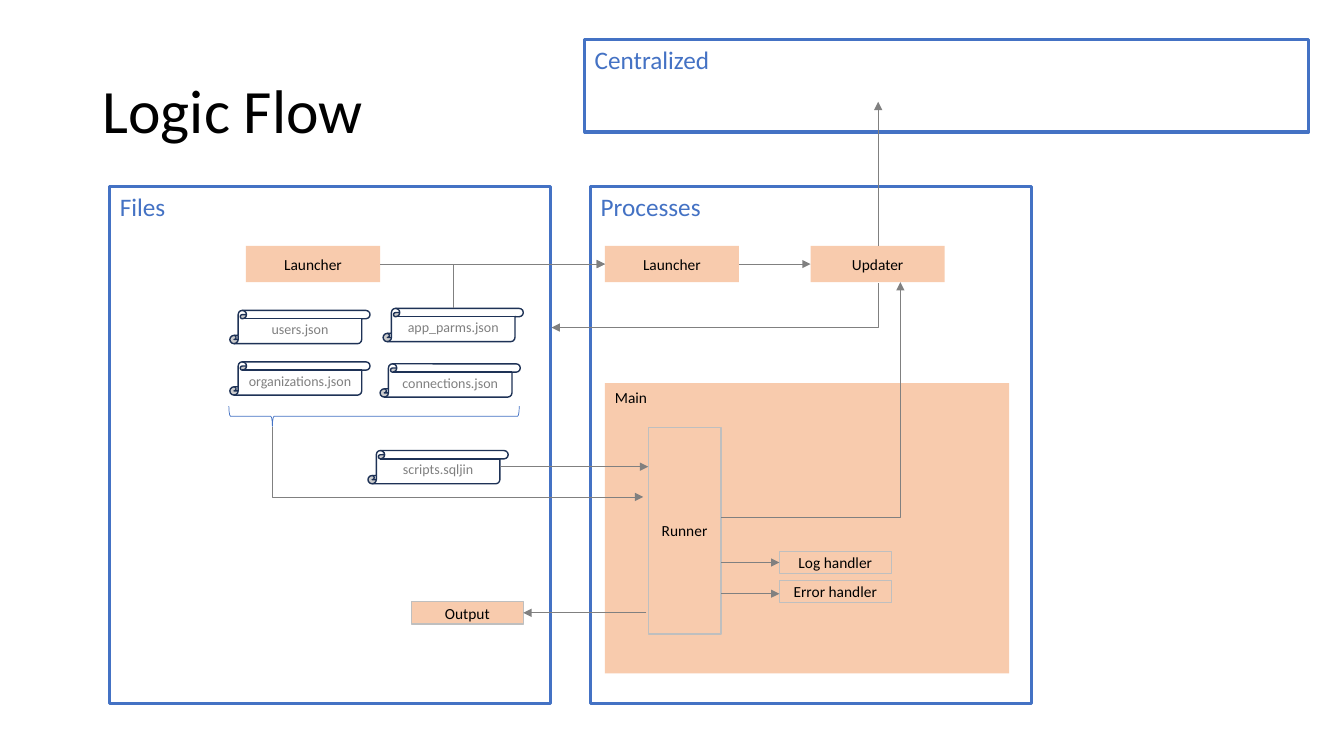
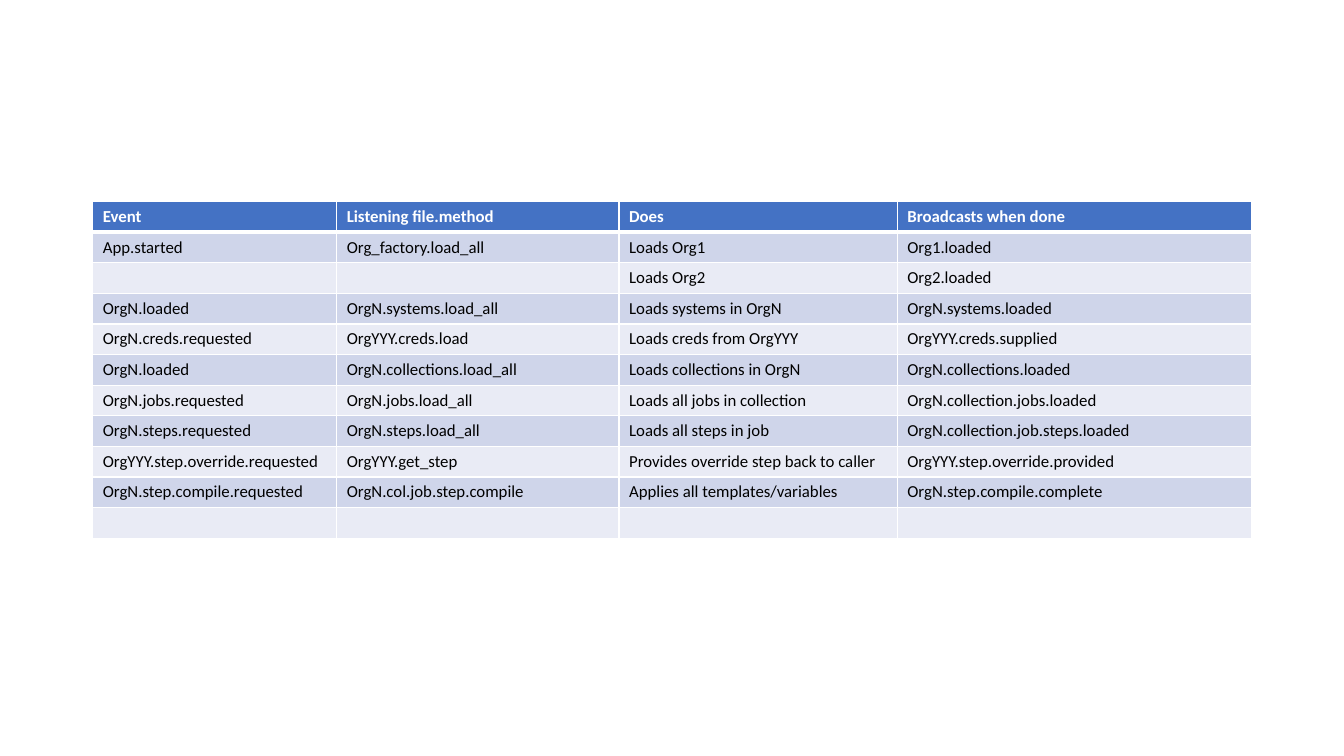
import pptx
import pptx.util
import pptx.dml.color
import pptx.enum.shapes
import pptx.enum.text
import pptx.oxml.ns
import lxml.etree

Inches = pptx.util.Inches
Pt = pptx.util.Pt
MSO_SHAPE = pptx.enum.shapes.MSO_SHAPE
MSO_CONNECTOR = pptx.enum.shapes.MSO_CONNECTOR
MSO_ANCHOR = pptx.enum.text.MSO_ANCHOR
PP_ALIGN = pptx.enum.text.PP_ALIGN
qn = pptx.oxml.ns.qn

FONT = "Calibri"
COLORS = {
    "black": "000000", "white": "FFFFFF", "blue": "4472C4", "peach": "F8CBAD",
    "navy": "1E3256", "gray": "808080", "silver": "BFBFBF",
    "band_dark": "CFD5EA", "band_light": "E9EBF5",
}
RGB = {name: pptx.dml.color.RGBColor.from_string(value) for name, value in COLORS.items()}


def add_box(slide, kind, box, text="", fill=None, line=None, width=1, size=11, color="black", centered=True):
    shape = slide.shapes.add_shape(kind, *map(Inches, box))
    shape.shadow.inherit = False
    if fill:
        shape.fill.solid()
        shape.fill.fore_color.rgb = RGB[fill]
    else:
        shape.fill.background()
    if line:
        shape.line.color.rgb = RGB[line]
        shape.line.width = Pt(width)
    else:
        shape.line.fill.background()
    if text:
        frame = shape.text_frame
        frame.word_wrap = False
        frame.vertical_anchor = MSO_ANCHOR.MIDDLE if centered else MSO_ANCHOR.TOP
        paragraph = frame.paragraphs[0]
        paragraph.text = text
        paragraph.alignment = PP_ALIGN.CENTER if centered else PP_ALIGN.LEFT
        paragraph.font.name = FONT
        paragraph.font.size = Pt(size)
        paragraph.font.color.rgb = RGB[color]
    return shape


def add_arrow(slide, start, end, arrow_end="tailEnd", bent=False):
    kind = MSO_CONNECTOR.ELBOW if bent else MSO_CONNECTOR.STRAIGHT
    connector = slide.shapes.add_connector(kind, *map(Inches, start + end))
    connector.line.color.rgb = RGB["gray"]
    connector.line.width = Pt(0.5)
    properties = connector._element.spPr
    if bent:
        properties.find(qn("a:prstGeom")).set("prst", "bentConnector2")
    lxml.etree.SubElement(properties.find(qn("a:ln")), qn("a:" + arrow_end), type="triangle")
    lxml.etree.SubElement(properties, qn("a:effectLst"))


presentation = pptx.Presentation()
presentation.slide_width = Inches(13.33)
presentation.slide_height = Inches(7.5)
blank = presentation.slide_layouts[6]

flow = presentation.slides.add_slide(blank)
title = flow.shapes.add_textbox(Inches(0.92), Inches(0.4), Inches(11.5), Inches(1.45))
title.text_frame.word_wrap = True
title.text_frame.vertical_anchor = MSO_ANCHOR.MIDDLE
paragraph = title.text_frame.paragraphs[0]
paragraph.text = "Logic Flow"
paragraph.line_spacing = 0.9
paragraph.font.name = FONT
paragraph.font.size = Pt(44)
paragraph.font.color.rgb = RGB["black"]

add_box(flow, MSO_SHAPE.RECTANGLE, (6, 3.8, 4.01, 2.88), "Main", fill="peach", centered=False)

for text, box in [
    ("Files", (1.09, 1.85, 4.37, 5.13)),
    ("Processes", (5.86, 1.85, 4.37, 5.13)),
    ("Centralized", (5.8, 0.39, 7.18, 0.92)),
]:
    add_box(flow, MSO_SHAPE.RECTANGLE, box, text, line="blue", width=2.25,
            size=18, color="blue", centered=False)

for text, left in [("Launcher", 2.44), ("Launcher", 6), ("Updater", 8.04)]:
    add_box(flow, MSO_SHAPE.RECTANGLE, (left, 2.44, 1.33, 0.36), text, fill="peach")

for text, left, top in [
    ("app_parms.json", 3.8, 3.06),
    ("connections.json", 3.77, 3.61),
    ("organizations.json", 2.28, 3.59),
    ("users.json", 2.28, 3.08),
    ("scripts.sqljin", 3.65, 4.47),
]:
    scroll = add_box(flow, MSO_SHAPE.VERTICAL_SCROLL, (left, top, 1.39, 0.33), text,
                     fill="white", line="navy", size=10, color="gray")
    scroll.adjustments[0] = 0.25

brace = add_box(flow, MSO_SHAPE.LEFT_BRACE, (3.61, 2.69, 0.2, 2.88), line="blue", width=0.5)
brace.adjustments[0] = 0.08
brace.adjustments[1] = 0.15
brace.rotation = 270

for text, box in [
    ("Runner", (6.43, 4.24, 0.72, 2.05)),
    ("Log handler", (7.73, 5.47, 1.11, 0.22)),
    ("Error handler", (7.73, 5.76, 1.11, 0.22)),
    ("Output", (4.08, 5.97, 1.11, 0.22)),
]:
    add_box(flow, MSO_SHAPE.RECTANGLE, box, text, fill="peach", line="silver")

for start, end in [
    ((3.77, 2.62), (6, 2.62)),
    ((7.33, 2.62), (8.04, 2.62)),
    ((8.71, 2.44), (8.71, 1.01)),
    ((4.96, 4.63), (6.43, 4.63)),
    ((7.15, 5.58), (7.73, 5.58)),
    ((7.15, 5.89), (7.73, 5.89)),
    ((6.41, 6.08), (5.19, 6.08)),
]:
    add_arrow(flow, start, end)

for start, end, arrow_end in [
    ((6, 2.62), (4.5, 3.06), "headEnd"),
    ((5.47, 3.25), (8.71, 2.81), "headEnd"),
    ((6.38, 4.93), (2.7, 4.24), "headEnd"),
    ((7.15, 5.13), (8.93, 2.8), "tailEnd"),
]:
    add_arrow(flow, start, end, arrow_end, bent=True)

events = presentation.slides.add_slide(blank)
rows = [
    ("Event", "Listening file.method", "Does", "Broadcasts when done"),
    ("App.started", "Org_factory.load_all", "Loads Org1", "Org1.loaded"),
    ("", "", "Loads Org2", "Org2.loaded"),
    ("OrgN.loaded", "OrgN.systems.load_all", "Loads systems in OrgN", "OrgN.systems.loaded"),
    ("OrgN.creds.requested", "OrgYYY.creds.load", "Loads creds from OrgYYY", "OrgYYY.creds.supplied"),
    ("OrgN.loaded", "OrgN.collections.load_all", "Loads collections in OrgN", "OrgN.collections.loaded"),
    ("OrgN.jobs.requested", "OrgN.jobs.load_all", "Loads all jobs in collection",
     "OrgN.collection.jobs.loaded"),
    ("OrgN.steps.requested", "OrgN.steps.load_all", "Loads all steps in job",
     "OrgN.collection.job.steps.loaded"),
    ("OrgYYY.step.override.requested", "OrgYYY.get_step", "Provides override step back to caller",
     "OrgYYY.step.override.provided"),
    ("OrgN.step.compile.requested", "OrgN.col.job.step.compile", "Applies all templates/variables",
     "OrgN.step.compile.complete"),
    ("", "", "", ""),
]
table = events.shapes.add_table(len(rows), 4, Inches(0.92), Inches(2), Inches(11.49), Inches(3.3)).table
for column, width in zip(table.columns, (2.42, 2.8, 2.76, 3.51)):
    column.width = Inches(width)

for row_index, texts in enumerate(rows):
    table.rows[row_index].height = Inches(0.3)
    header = row_index == 0
    fill = "blue" if header else "band_dark" if row_index % 2 else "band_light"
    for column_index, text in enumerate(texts):
        cell = table.cell(row_index, column_index)
        paragraph = cell.text_frame.paragraphs[0]
        paragraph.text = text
        paragraph.font.name = FONT
        paragraph.font.size = Pt(12)
        paragraph.font.bold = header
        paragraph.font.color.rgb = RGB["white" if header else "black"]
        if not text:
            lxml.etree.SubElement(paragraph._p, qn("a:endParaRPr"), sz="1200")
        properties = cell._tc.get_or_add_tcPr()
        for side in "LRTB":
            thick = (header and side == "B") or (row_index == 1 and side == "T")
            border = lxml.etree.SubElement(properties, qn("a:ln" + side), w=str(Pt(3 if thick else 1)))
            border_fill = lxml.etree.SubElement(border, qn("a:solidFill"))
            lxml.etree.SubElement(border_fill, qn("a:srgbClr"), val=COLORS["white"])
        cell.fill.solid()
        cell.fill.fore_color.rgb = RGB[fill]

presentation.save("out.pptx")
